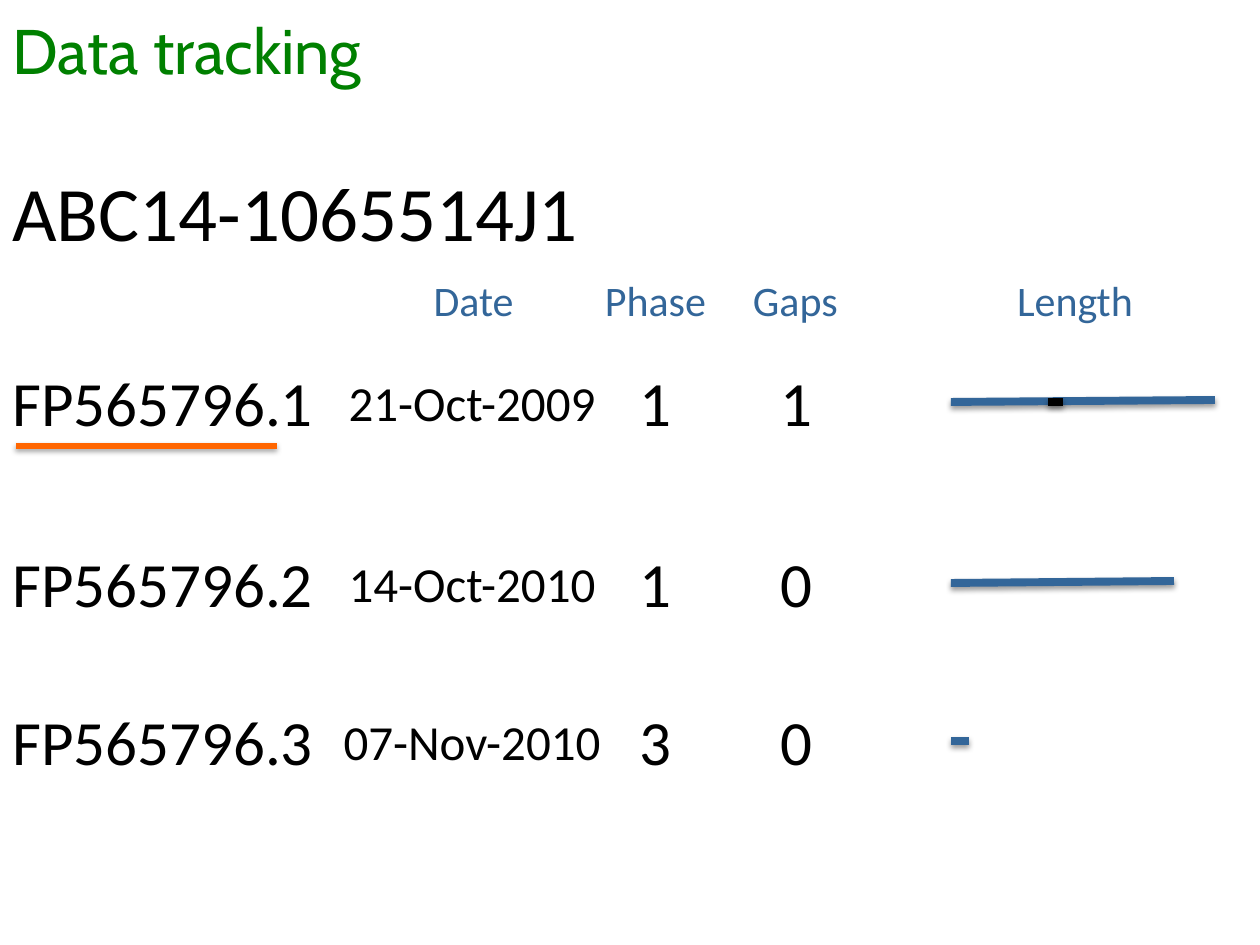
from lxml.etree import SubElement
from pptx import Presentation
from pptx.dml.color import RGBColor
from pptx.enum.shapes import MSO_CONNECTOR
from pptx.enum.text import MSO_ANCHOR, PP_ALIGN
from pptx.oxml.ns import qn
from pptx.util import Pt

PX = 914400 / 126
COLORS = {"title": "008000", "text": "000000", "accent": "336699", "underline": "FF6600"}
HEADER_COLUMNS = [("Date", 420, 107), ("Phase", 592, 127), ("Gaps", 740, 111), ("Length", 1003, 144)]
# Top, accession, date, phase, gaps, bar length, bar rise
RECORDS = [
    (357, "FP565796.1", "21-Oct-2009", "1", "1", 264, 2),
    (538, "FP565796.2", "14-Oct-2010", "1", "0", 223, 2),
    (696, "FP565796.3", "07-Nov-2010", "3", "0", 18, 0),
]
ROW_HEIGHT = 89
BAR_LEFT = 951


def emu(*lengths):
    return [round(length * PX) for length in lengths]


def write(box, text, size, color, align=PP_ALIGN.LEFT, font="Calibri"):
    frame = box.text_frame
    frame.word_wrap = False
    frame.vertical_anchor = MSO_ANCHOR.TOP
    para = frame.paragraphs[0]
    para.alignment = align
    span = para.add_run()
    span.text = text
    span.font.name = font
    span.font.size = Pt(size)
    span.font.color.rgb = RGBColor.from_string(COLORS[color])


def add_label(shapes, place, text, size, color="text", align=PP_ALIGN.LEFT):
    write(shapes.add_textbox(*emu(*place)), text, size, color, align)


def add_line(shapes, ends, width, color):
    """Draw a line with a soft shadow just below it."""
    line = shapes.add_connector(MSO_CONNECTOR.STRAIGHT, *emu(*ends))
    line.line.width = Pt(width)
    line.line.color.rgb = RGBColor.from_string(COLORS[color])
    effects = SubElement(line._element.spPr, qn("a:effectLst"))
    shadow = SubElement(effects, qn("a:outerShdw"), blurRad=str(Pt(3.1)), dist=str(Pt(1.6)),
                        dir="5400000", rotWithShape="0")
    shade = SubElement(shadow, qn("a:srgbClr"), val=COLORS["text"])
    SubElement(shade, qn("a:alpha"), val="38000")


def add_heading(page, left, top):
    title = page.shapes.title
    title.left, title.top, title.width, title.height = emu(left, top, 381, 89)
    write(title, "Data tracking", 36, "title", font="Cabin")
    add_label(page.shapes, (left, top + 153, 597, 106), "ABC14-1065514J1", 44)


def add_column_headers(page, top):
    for name, left, width in HEADER_COLUMNS:
        add_label(page.shapes, (left, top, width, 63), name, 24, "accent", PP_ALIGN.CENTER)


def add_record(page, top, accession, date, phase, gaps, length, rise):
    shapes = page.shapes.add_group_shape().shapes
    middle = top + ROW_HEIGHT // 2 + 1
    add_line(shapes, (BAR_LEFT, middle, BAR_LEFT + length, middle - rise), 4.5, "accent")
    add_label(shapes, (0, top, 329, ROW_HEIGHT), accession, 36)
    add_label(shapes, (329, top + 9, 286, 71), date, 28, align=PP_ALIGN.CENTER)
    for left, value in ((626, phase), (767, gaps)):
        add_label(shapes, (left, top, 58, ROW_HEIGHT), value, 36, align=PP_ALIGN.CENTER)


def add_first_record_marks(page, top):
    """Underline the accession stem and mark the gap on the length bar."""
    underline = top + ROW_HEIGHT
    gap = top + ROW_HEIGHT // 2 + 1
    add_line(page.shapes, (16, underline, 277, underline), 3, "underline")
    add_line(page.shapes, (1048, gap, 1063, gap), 4.5, "text")


def main():
    deck = Presentation()
    deck.slide_width, deck.slide_height = emu(1260, 945)
    page = deck.slides.add_slide(deck.slide_layouts.get_by_name("Title Only"))
    add_heading(page, 0, 5)
    add_column_headers(page, 268)
    for record in RECORDS:
        add_record(page, *record)
    add_first_record_marks(page, RECORDS[0][0])
    deck.save("out.pptx")


if __name__ == "__main__":
    main()
